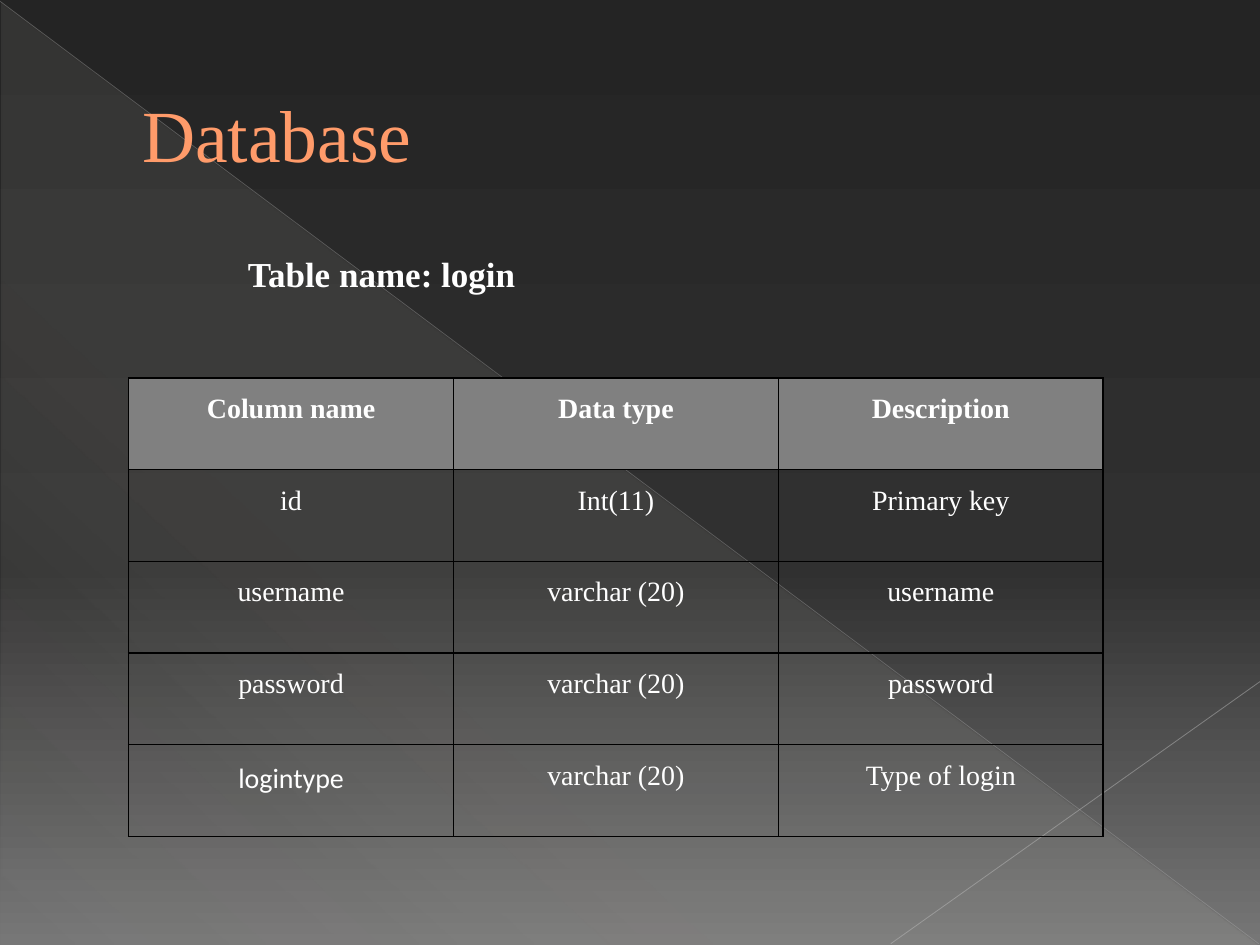
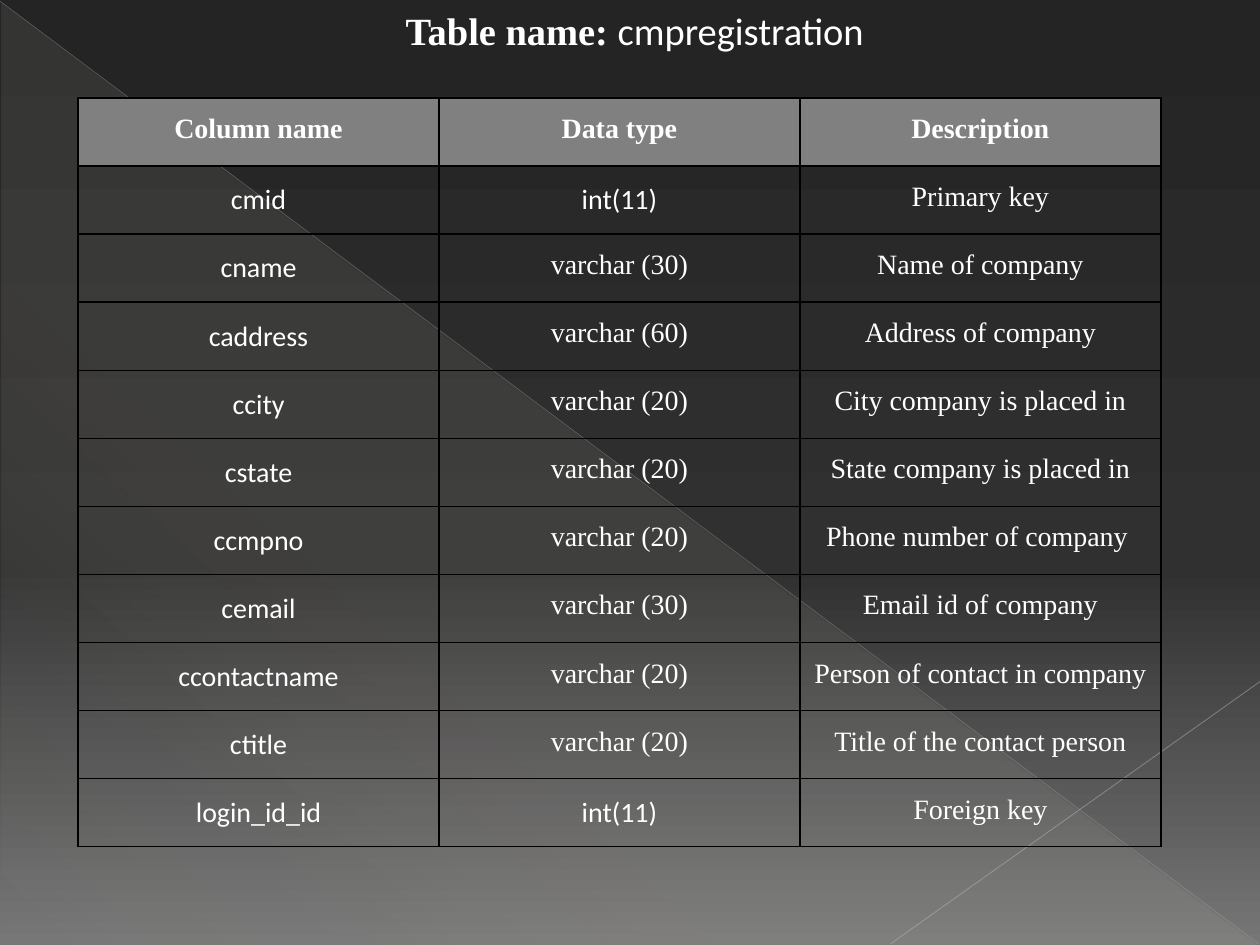
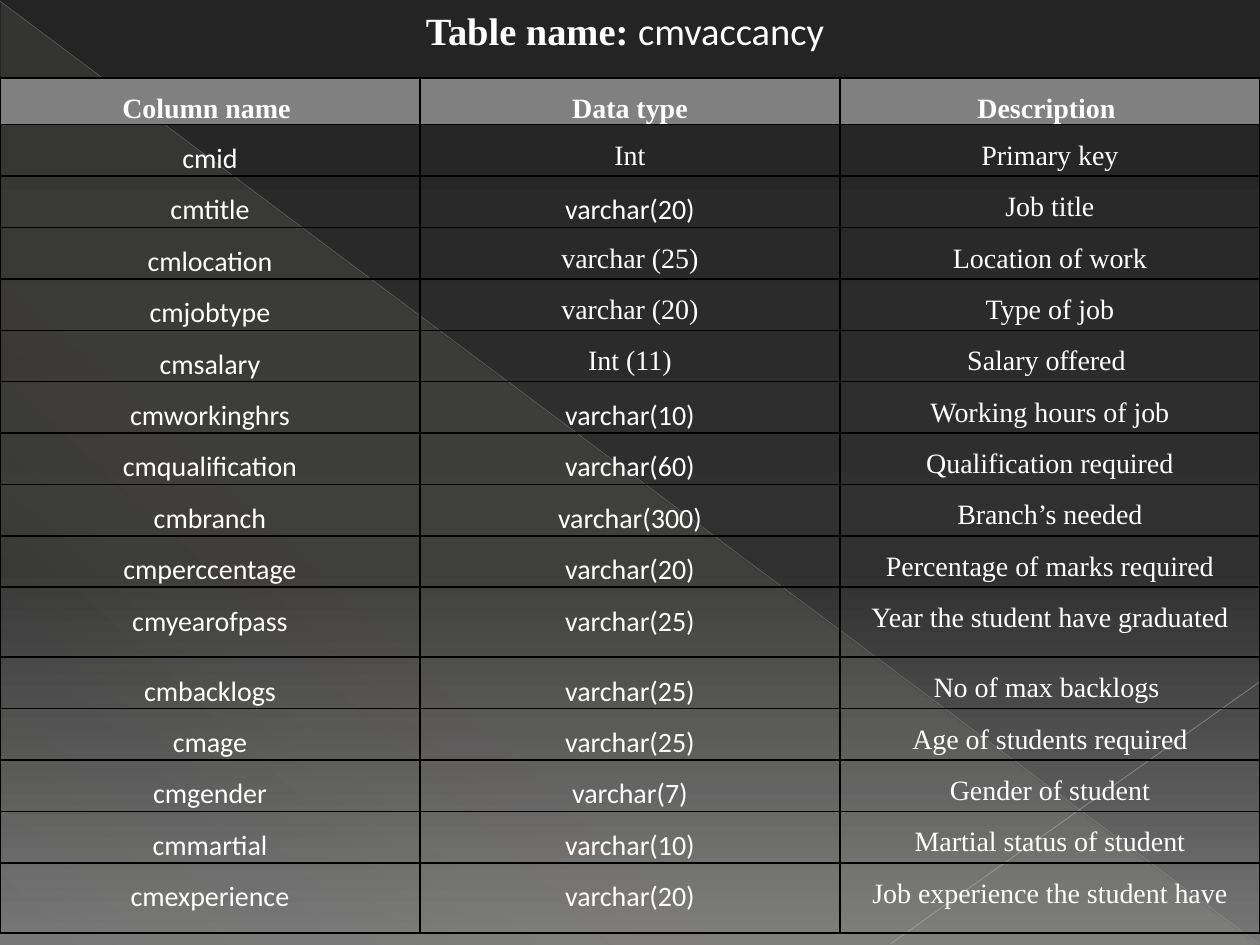
from lxml.etree import SubElement as Sub
from pptx import Presentation
from pptx.dml.color import RGBColor
from pptx.enum.shapes import MSO_CONNECTOR as Link, MSO_SHAPE as Form
from pptx.enum.text import MSO_ANCHOR as Anchor, MSO_AUTO_SIZE as Auto, PP_ALIGN as Align
from pptx.oxml.ns import qn
from pptx.util import Pt

SERIF, SANS = "Times New Roman", "Calibri"
WHITE, BLACK, GREY, CORAL = "FFFFFF", "000000", "808080", "FF9B6A"
BACK = [(0, "242424", 100), (60, "303030", 100), (100, "767676", 100)]
HAZE = [(0, "E3DED1", 10), (70, "E3DED1", 8), (100, "E3DED1", 1)]
RAYS = [
    ((0, 0.72, 719.28, 539.28), "B6B6B6", 0.39, 35),
    ((720, 389.5, 509, 539.28), "BFBFBF", 0.47, 45),
]
SERIF_NAMES = {"id", "username", "password"}
HEAD = "Column name|Data type|Description"
LOGIN = [
    HEAD,
    "id|Int(11)|Primary key",
    "username|varchar (20)|username",
    "password|varchar (20)|password",
    "logintype|varchar (20)|Type of login",
]
COMPANY = [
    HEAD,
    "cmid|int(11)|Primary key",
    "cname|varchar (30)|Name of company",
    "caddress|varchar (60)|Address of company",
    "ccity|varchar (20)|City company is placed in",
    "cstate|varchar (20)|State company is placed in",
    "ccmpno|varchar (20)|Phone number of company ",
    "cemail|varchar (30)|Email id of company",
    "ccontactname|varchar (20)|Person of contact in company",
    "ctitle|varchar (20)|Title of the contact person",
    "login_id_id|int(11)|Foreign key",
]
VACANCY = [
    "Column name |Data type|Description ",
    "cmid|Int|Primary key",
    "cmtitle|varchar(20)|Job title",
    "cmlocation|varchar (25)|Location of work",
    "cmjobtype|varchar (20)|Type of job",
    "cmsalary|Int (11)|Salary offered ",
    "cmworkinghrs|varchar(10)|Working hours of job",
    "cmqualification|varchar(60)|Qualification required",
    "cmbranch|varchar(300)|Branch’s needed",
    "cmperccentage|varchar(20)|Percentage of marks required",
    "cmyearofpass|varchar(25)|Year the student have graduated",
    "cmbacklogs|varchar(25)|No of max backlogs ",
    "cmage|varchar(25)|Age of students required",
    "cmgender|varchar(7)|Gender of student",
    "cmmartial|varchar(10)|Martial status of student",
    "cmexperience|varchar(20)|Job experience the student have",
]


def color(code):
    return RGBColor.from_string(code)


def points(box):
    return [Pt(side) for side in box]


def style(font, face, size, code=WHITE, bold=False):
    font.name, font.size, font.bold = face, Pt(size), bold
    font.color.rgb = color(code)


def fade(node, alpha):
    Sub(node, qn("a:alpha")).set("val", str(alpha * 1000))


def grade(fill, stops, angle):
    fill.gradient()
    grad = fill._xPr.find(qn("a:gradFill"))
    ramp = grad.find(qn("a:gsLst"))
    for old in list(ramp):
        ramp.remove(old)
    for place, code, alpha in stops:
        stop = Sub(ramp, qn("a:gs"), pos=str(place * 1000))
        fade(Sub(stop, qn("a:srgbClr"), val=code), alpha)
    grad.find(qn("a:lin")).set("ang", str(angle * 60000))


def backdrop(master, slide):
    grade(master.background.fill, BACK, 90)
    wedge = slide.shapes.add_shape(Form.RIGHT_TRIANGLE, *points((0.72, 1.44, 718.56, 538.56)))
    wedge.shadow.inherit = False
    wedge.line.fill.background()
    grade(wedge.fill, HAZE, 133)
    parts = [wedge]
    for ends, code, width, alpha in RAYS:
        ray = slide.shapes.add_connector(Link.STRAIGHT, *points(ends))
        ray.line.width = Pt(width)
        ray.line.color.rgb = color(code)
        props = ray._element.spPr
        fade(props.find(".//" + qn("a:srgbClr")), alpha)
        Sub(props, qn("a:effectLst"))
        parts.append(ray)
    for i, part in enumerate(parts):
        node = part._element
        node[0][0].set("id", str(20 + i))
        master.shapes._spTree.insert(2 + i, node)


def place(shape, box):
    shape.left, shape.top, shape.width, shape.height = points(box)


def heading(shape, box, text):
    place(shape, box)
    frame = shape.text_frame
    frame.vertical_anchor = Anchor.MIDDLE
    para = frame.paragraphs[0]
    para.text, para.alignment = text, Align.LEFT
    para._p.get_or_add_pPr().set("marL", str(Pt(38)))
    style(para.font, SERIF, 42, CORAL)


def caption(shape, box, size, label, name=""):
    place(shape, box)
    frame = shape.text_frame
    frame.word_wrap, frame.auto_size = False, Auto.NONE
    frame.vertical_anchor = Anchor.MIDDLE
    para = frame.paragraphs[0]
    para.alignment = Align.LEFT
    lead = para.add_run()
    lead.text = label
    style(lead.font, SERIF, size, bold=True)
    if name:
        tail = para.add_run()
        tail.text = name
        style(tail.font, SANS, size)


def face(row, col, text):
    if row == 0 or col == 2:
        return SERIF
    if col == 0:
        return SERIF if text in SERIF_NAMES else SANS
    return SANS if text.islower() and " " not in text else SERIF


def border(cell):
    props = cell._tc.get_or_add_tcPr()
    for side in "LRTB":
        line = Sub(props, qn("a:ln" + side), w=str(Pt(1)))
        Sub(Sub(line, qn("a:solidFill")), qn("a:srgbClr"), val=BLACK)


def entry(cell, row, col, text):
    cell.margin_left = cell.margin_right = cell.margin_top = cell.margin_bottom = 0
    border(cell)
    if row == 0:
        cell.fill.solid()
        cell.fill.fore_color.rgb = color(GREY)
    else:
        cell.fill.background()
    para = cell.text_frame.paragraphs[0]
    para.text, para.alignment = text, Align.CENTER
    para.line_spacing, para.space_after = 1.5, Pt(8)
    style(para.font, face(row, col, text), 16, bold=row == 0)


def grid(slide, box, rows, tall=()):
    table = slide.shapes.add_table(len(rows), 3, *points(box)).table
    table.first_row = table.horz_banding = False
    unit = box[3] / (len(rows) + len(tall))
    for i, line in enumerate(rows):
        table.rows[i].height = Pt(unit * (2 if i in tall else 1))
        for j, text in enumerate(line.split("|")):
            entry(table.cell(i, j), i, j, text)


def main():
    deck = Presentation()
    deck.slide_width, deck.slide_height = Pt(720), Pt(540)
    login, company, vacancy = [deck.slides.add_slide(deck.slide_layouts[5]) for _ in range(3)]
    backdrop(deck.slide_master, login)

    heading(login.shapes.title, (36, 21, 648, 110), "Database")
    grid(login, (73.5, 216, 557, 262), LOGIN)
    box = (134.6, 140.5, 180, 31.5)
    caption(login.shapes.add_textbox(*points(box)), box, 20, "Table name: login")

    caption(company.shapes.title, (224.6, 0, 278.6, 34), 22, "Table name: ", "cmpregistration")
    grid(company, (44.6, 56, 618.8, 428), COMPANY)

    caption(vacancy.shapes.title, (236.2, 0, 244, 34), 22, "Table name: ", "cmvaccancy")
    grid(vacancy, (0, 44.6, 720, 360), VACANCY, tall=(10, 15))

    deck.save("out.pptx")


if __name__ == "__main__":
    main()
